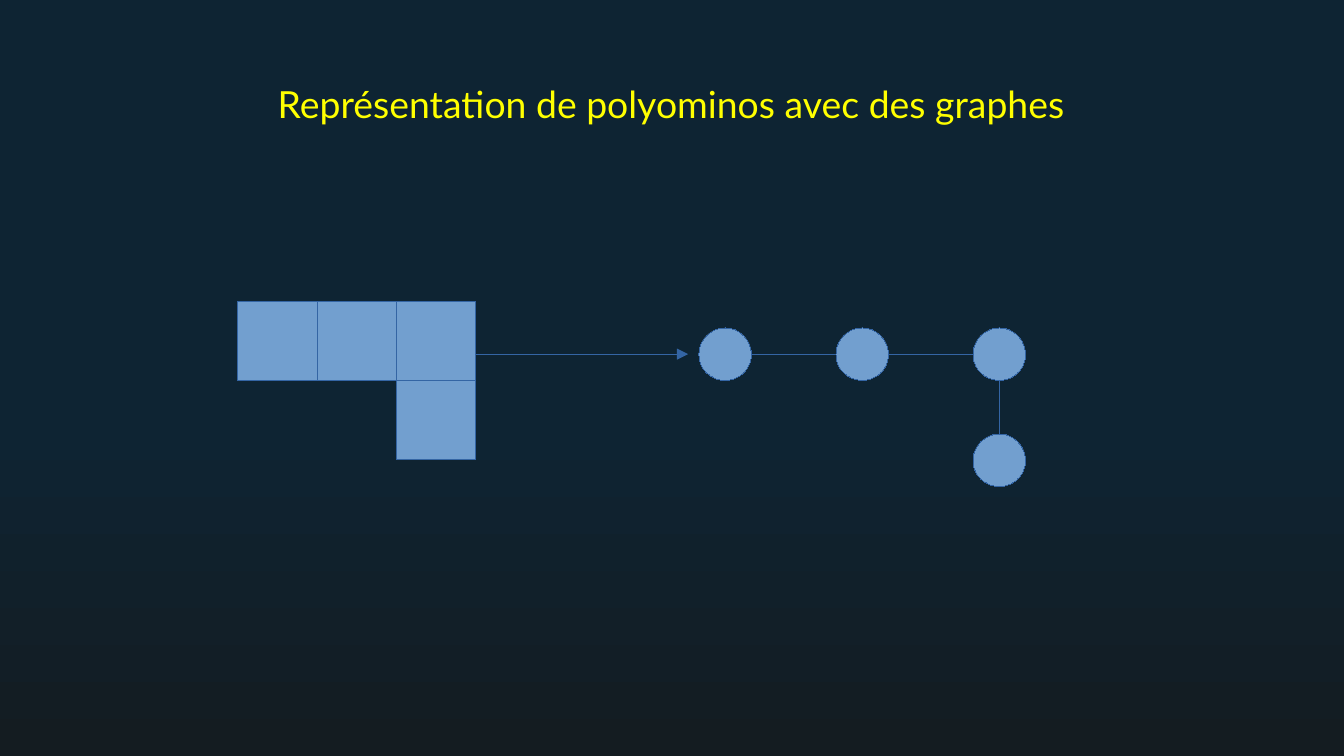
"""Build the slide showing a polyomino and its graph."""
from lxml import etree
from pptx import Presentation
from pptx.dml.color import RGBColor
from pptx.enum.shapes import MSO_CONNECTOR, MSO_SHAPE
from pptx.enum.text import MSO_ANCHOR, MSO_AUTO_SIZE, PP_ALIGN
from pptx.oxml.ns import qn
from pptx.util import Inches, Pt

STRAIGHT = MSO_CONNECTOR.STRAIGHT
SQUARE, CIRCLE = MSO_SHAPE.RECTANGLE, MSO_SHAPE.OVAL
MIDDLE, CENTER, NO_FIT = MSO_ANCHOR.MIDDLE, PP_ALIGN.CENTER, MSO_AUTO_SIZE.NONE
COLORS = {"top": "0E2433", "bottom": "141C21", "title": "FFFF00",
          "fill": "729FCF", "line": "3465A4"}
HAIRLINE = Pt(0.01)
CELLS = [(0, 0), (1, 0), (2, 0), (2, 1)]
CELL_SIZE, NODE_SIZE = 0.59, 0.39
CELL_LEFT, CELL_TOP = 1.77, 2.24
NODE_LEFT, NODE_TOP = 5.2, 2.44
NODE_STEP_X, NODE_STEP_Y = 1.02, 0.79


def add_block(kind, left, top, size):
    shape = slide.shapes.add_shape(kind, Inches(left), Inches(top), Inches(size), Inches(size))
    shape.shadow.inherit = False
    shape.fill.solid()
    shape.fill.fore_color.rgb = RGBColor.from_string(COLORS["fill"])
    shape.line.color.rgb = RGBColor.from_string(COLORS["line"])
    shape.line.width = HAIRLINE


def add_line(start_x, start_y, end_x, end_y):
    connector = slide.shapes.add_connector(
        STRAIGHT, Inches(start_x), Inches(start_y), Inches(end_x), Inches(end_y))
    connector.line.color.rgb = RGBColor.from_string(COLORS["line"])
    connector.line.width = HAIRLINE
    etree.SubElement(connector.element.spPr, qn("a:effectLst"))
    return connector


presentation = Presentation()
presentation.slide_width = Inches(10)
presentation.slide_height = Inches(10 * 9 / 16)
slide = presentation.slides.add_slide(presentation.slide_layouts[5])

background = slide.background.fill
background.gradient()
background.gradient_angle = 270
for stop, position, name in zip(background.gradient_stops, (0.56, 1), ("top", "bottom")):
    stop.position = position
    stop.color.rgb = RGBColor.from_string(COLORS[name])

title = slide.shapes.title
title.left, title.top = Inches(0.78), Inches(0.59)
title.width, title.height = Inches(8.43), Inches(0.36)
frame = title.text_frame
frame.auto_size = NO_FIT
frame.word_wrap = True
frame.vertical_anchor = MIDDLE
frame.margin_left = frame.margin_right = Inches(0.1)
frame.margin_top = frame.margin_bottom = Inches(0.1)
paragraph = frame.paragraphs[0]
paragraph.alignment = CENTER
run = paragraph.add_run()
run.text = "Représentation de polyominos avec des graphes"
run.font.name = "Lato"
run.font.size = Pt(20)
run.font.color.rgb = RGBColor.from_string(COLORS["title"])

for column, row in CELLS:
    add_block(SQUARE, CELL_LEFT + column * CELL_SIZE, CELL_TOP + row * CELL_SIZE, CELL_SIZE)

node_middle = NODE_TOP + NODE_SIZE / 2
arrow = add_line(CELL_LEFT + 3 * CELL_SIZE, node_middle, 5.12, node_middle)
etree.SubElement(arrow.element.spPr.get_or_add_ln(), qn("a:tailEnd"), type="triangle")

for column, row in CELLS:
    add_block(CIRCLE, NODE_LEFT + column * NODE_STEP_X, NODE_TOP + row * NODE_STEP_Y, NODE_SIZE)

for column in range(2):
    left = NODE_LEFT + column * NODE_STEP_X
    add_line(left + NODE_SIZE, node_middle, left + NODE_STEP_X, node_middle)
last_center = NODE_LEFT + 2 * NODE_STEP_X + NODE_SIZE / 2
add_line(last_center, NODE_TOP + NODE_STEP_Y, last_center, NODE_TOP + NODE_SIZE)

presentation.save("out.pptx")
